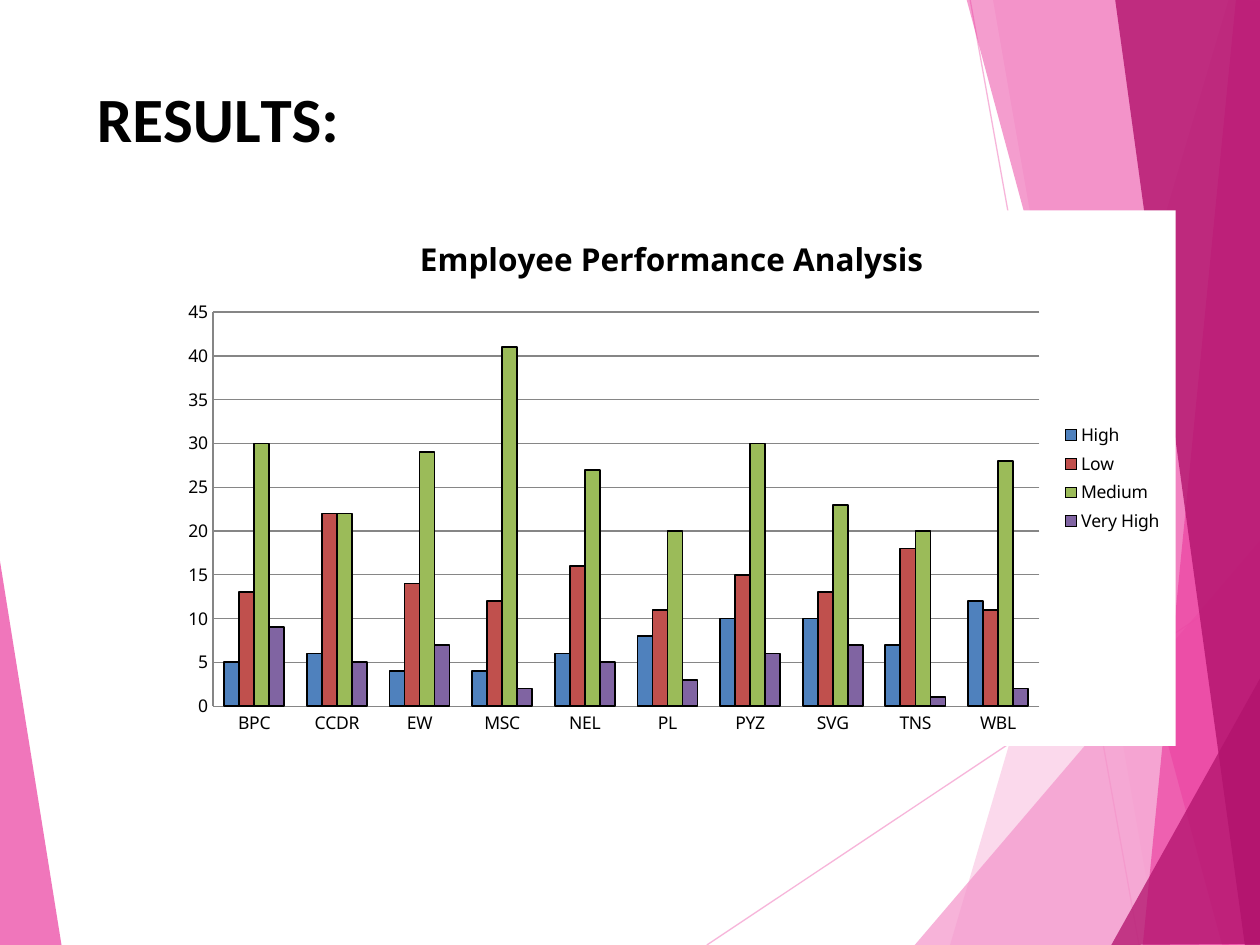
from dataclasses import dataclass

from pptx import Presentation, util as u
from pptx.chart import data as cd
from pptx.dml import color as col
from pptx.enum import chart as ce, shapes as sh, text as tx
from pptx.oxml import parse_xml, ns


@dataclass(frozen=True)
class Theme:
    pale: str = "F496CB"
    pink: str = "EB3D9F"
    deep: str = "B2136D"
    black: str = "000000"
    white: str = "FFFFFF"
    grid: str = "868686"
    bars: tuple = ("4F81BD", "C0504D", "9BBB59", "8064A2")
    head: str = "Calibri"
    body: str = "Noto Sans"
    big: int = 36
    mid: int = 18
    small: int = 10


SCALE = 9144


def px(n):
    return u.Emu(n * SCALE)


def rgb(code):
    return col.RGBColor.from_string(code)


def xml(tag, inner):
    return parse_xml(f'<{tag} {ns.nsdecls("a", "c")}>{inner}</{tag}>')


class Deck:
    def __init__(self, theme, wide, high):
        self.theme = theme
        self.prs = Presentation()
        self.prs.slide_width, self.prs.slide_height = px(wide), px(high)
        self.slide = self.prs.slides.add_slide(self.prs.slide_layouts[6])

    def fade(self, part, share):
        for node in part.iter(ns.qn("a:srgbClr")):
            node.append(xml("a:alpha", ""))
            node[-1].set("val", str(share * 1000))

    def font(self, font, size, face, bold=False):
        font.size, font.name, font.bold = u.Pt(size), face, bold
        font.color.rgb = rgb(self.theme.black)

    def line(self, start, end, color, share):
        rule = self.slide.shapes.add_connector(
            sh.MSO_CONNECTOR.STRAIGHT, *map(px, start + end))
        rule.line.color.rgb = rgb(color)
        rule.line.width = u.Pt(0.75)
        self.fade(rule.line._ln, share)
        rule._element.spPr.append(xml("a:effectLst", ""))

    def facet(self, points, color, share):
        pen = self.slide.shapes.build_freeform(*points[0], scale=SCALE)
        pen.add_line_segments(points[1:], close=True)
        form = pen.convert_to_shape()
        form.shadow.inherit = False
        form.fill.solid()
        form.fill.fore_color.rgb = rgb(color)
        form.line.fill.background()
        self.fade(form._element.spPr, share)

    def title(self, parts, box):
        frame = self.slide.shapes.add_textbox(*map(px, box)).text_frame
        frame.word_wrap = True
        frame.auto_size = tx.MSO_AUTO_SIZE.SHAPE_TO_FIT_TEXT
        for word, gap in parts:
            run = frame.paragraphs[0].add_run()
            run.text = word
            self.font(run.font, self.theme.big, self.theme.head, True)
            run.font._element.set("spc", str(gap))

    def chart(self, name, cats, rows, box):
        look = self.theme
        data = cd.CategoryChartData()
        data.categories = cats
        for key, vals in rows.items():
            data.add_series(key, vals)
        chart = self.slide.shapes.add_chart(
            ce.XL_CHART_TYPE.COLUMN_CLUSTERED, *map(px, box), data).chart
        self.font(chart.font, look.small, look.body)
        chart.has_title = True
        frame = chart.chart_title.text_frame
        frame.text = name
        self.font(frame.paragraphs[0].runs[0].font, look.mid, look.body, True)
        chart.has_legend = True
        chart.legend.position = ce.XL_LEGEND_POSITION.RIGHT
        chart.legend.include_in_layout = False
        self.font(chart.legend.font, look.small, look.body)

        for axis in (chart.category_axis, chart.value_axis):
            axis.major_tick_mark = axis.minor_tick_mark = ce.XL_TICK_MARK.NONE
            self.font(axis.tick_labels.font, look.small, look.body)
            axis.format.line.color.rgb = rgb(look.grid)
        scale = chart.value_axis
        scale.minimum_scale, scale.maximum_scale = 0, 45
        scale.major_unit = 5
        scale.has_major_gridlines = True
        scale.major_gridlines.format.line.color.rgb = rgb(look.grid)

        plot = chart.plots[0]
        plot.vary_by_categories = False
        plot.gap_width, plot.overlap = 150, 0
        for bar, color in zip(plot.series, look.bars):
            bar.format.fill.solid()
            bar.format.fill.fore_color.rgb = rgb(color)
            bar.format.line.color.rgb = rgb(look.black)
            bar.format.line.width = u.Pt(1)
        self.area(chart)

    def area(self, chart):
        root = chart.element.find(ns.qn("c:chart"))
        area = root.find(ns.qn("c:plotArea"))
        fill = (f'<a:solidFill><a:srgbClr val="{self.theme.white}"/>'
                '</a:solidFill><a:ln><a:noFill/></a:ln>')
        root.addnext(xml("c:spPr", fill))
        area.append(xml("c:spPr", fill))
        for old in area.findall(ns.qn("c:layout")):
            area.remove(old)
        spots = {"x": 0.045, "y": 0.19, "w": 0.82, "h": 0.736}
        inner = '<c:layoutTarget val="inner"/>'
        inner += "".join(f'<c:{k}Mode val="edge"/>' for k in "xy")
        inner += "".join(f'<c:{k} val="{v}"/>' for k, v in spots.items())
        area.insert(0, xml("c:layout",
                           f"<c:manualLayout>{inner}</c:manualLayout>"))


def main():
    theme = Theme()
    deck = Deck(theme, 1000, 750)
    for start, end in (((561, 750), (1001, 457)), ((770, 0), (904, 750))):
        deck.line(start, end, theme.pale, 70)

    facets = (
        (theme.pale, 36, [(975, 0), (754, 750), (1002, 751), (1001, 1)]),
        (theme.pale, 20, [(788, -1), (919, 750), (1001, 750), (1001, -1)]),
        (theme.pale, 72, [(726, 750), (1000, 429), (1001, 750)]),
        (theme.pink, 50, [(767, -1), (970, 750), (1001, 749), (1001, -1)]),
        (theme.pink, 66, [(981, -1), (907, 750), (1001, 750), (1000, -1)]),
        (theme.deep, 80, [(885, -1), (988, 750), (1002, 750), (1000, -1)]),
        (theme.deep, 76, [(882, 750), (1002, 535), (1002, 749)]),
        (theme.pink, 70, [(-1, 439), (49, 751), (-1, 750)]),
    )
    for color, share, points in facets:
        deck.facet(points, color, share)

    parts = (("R", 0), ("E", -40), ("S", 10), ("U", -30), ("L", -400),
             ("TS:", 0))
    deck.title(parts, (67, 58, 292, 71))
    cats = "BPC CCDR EW MSC NEL PL PYZ SVG TNS WBL".split()
    rows = {
        "High": (5, 6, 4, 4, 6, 8, 10, 10, 7, 12),
        "Low": (13, 22, 14, 12, 16, 11, 15, 13, 18, 11),
        "Medium": (30, 22, 29, 41, 27, 20, 30, 23, 20, 28),
        "Very High": (9, 5, 7, 2, 5, 3, 6, 7, 1, 2),
    }
    deck.chart("Employee Performance Analysis", cats, rows,
               (133, 167, 800, 425))
    deck.prs.save("out.pptx")


if __name__ == "__main__":
    main()
